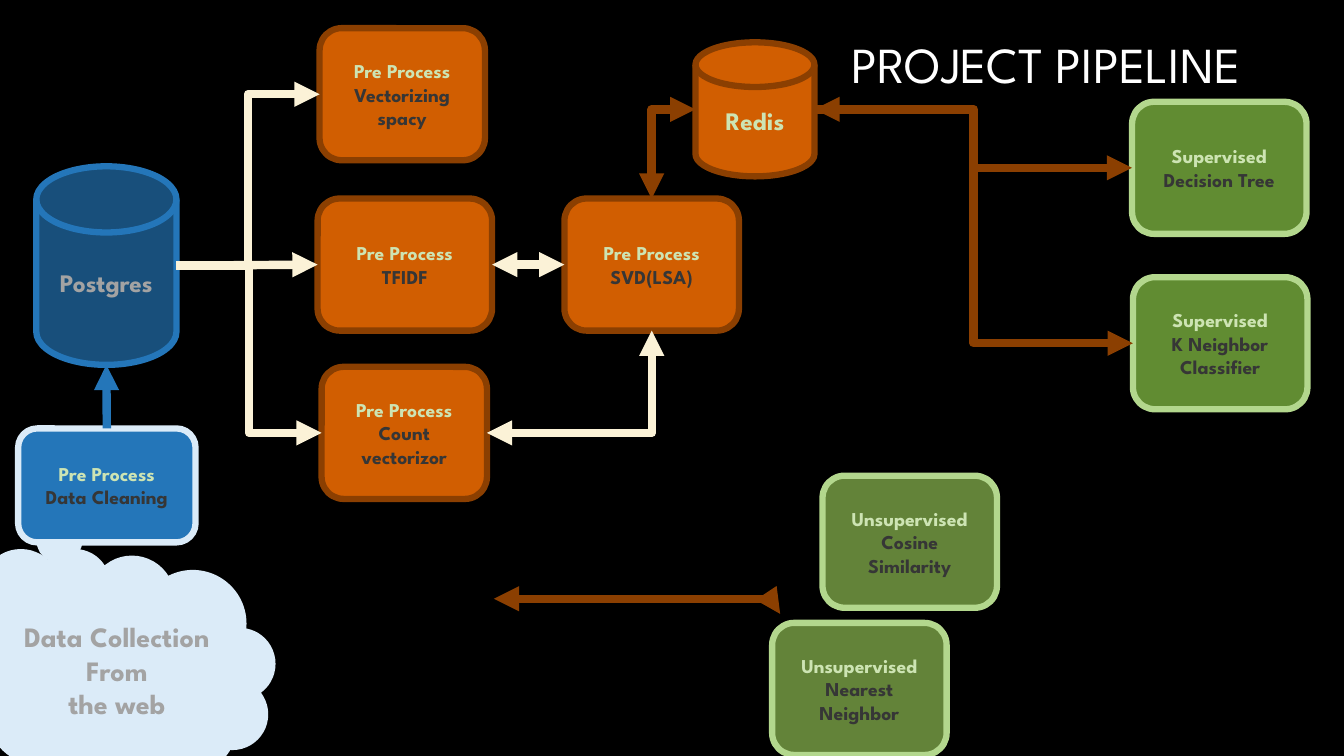
from pptx import Presentation
from pptx.dml.color import RGBColor
from pptx.enum.shapes import MSO_CONNECTOR, MSO_SHAPE
from pptx.enum.text import MSO_ANCHOR, PP_ALIGN
from pptx.oxml.ns import qn
from pptx.util import Inches, Pt
from lxml.etree import SubElement

WIDTH, HEIGHT = Inches(13.33), Inches(7.5)
FONT = "League Spartan"

BLACK = RGBColor(0x00, 0x00, 0x00)
WHITE = RGBColor(0xFF, 0xFF, 0xFF)
GREY = RGBColor(0xA3, 0xA3, 0xA3)
CHARCOAL = RGBColor(0x36, 0x36, 0x36)
CREAM = RGBColor(0xFB, 0xF2, 0xD7)
ICE = RGBColor(0xDB, 0xEB, 0xF8)
BLUE = RGBColor(0x24, 0x76, 0xB9)
NAVY = RGBColor(0x18, 0x4F, 0x7B)
ORANGE = RGBColor(0xD1, 0x5E, 0x01)
BROWN = RGBColor(0x8B, 0x3F, 0x01)
GREEN = RGBColor(0x61, 0x8C, 0x32)
OLIVE = RGBColor(0x63, 0x83, 0x39)
LIME = RGBColor(0xB3, 0xD7, 0x8D)
PALE_GREEN = RGBColor(0xCD, 0xE4, 0xB3)

# Step sizes, in percent of the slide's width and height
WIDE, NARROW = (12.98, 17.47), (12.3, 17.47)
TOP, LEFT, BOTTOM, RIGHT = range(4)


def share(x, y):
    """Turn percentages of the slide's width and height into lengths."""
    return round(WIDTH * x / 100), round(HEIGHT * y / 100)


def write(tf, lines, size, colors, align=PP_ALIGN.CENTER, bold=True):
    """Write one paragraph per line, each in its own colour."""
    tf.vertical_anchor = MSO_ANCHOR.MIDDLE
    for i, (line, color) in enumerate(zip(lines, colors)):
        p = tf.paragraphs[0] if i == 0 else tf.add_paragraph()
        p.text = line
        p.alignment = align
        p.font.name, p.font.size, p.font.bold = FONT, Pt(size), bold
        p.font.color.rgb = color


def add_figure(slide, kind, at, size, fill, line):
    sp = slide.shapes.add_shape(kind, *share(*at), *share(*size))
    sp.shadow.inherit = False
    sp.fill.solid()
    sp.fill.fore_color.rgb = fill
    sp.line.color.rgb = line
    sp.line.width = Pt(4.5)
    return sp


def add_step(slide, at, size, fill, line, stage, *details):
    sp = add_figure(slide, MSO_SHAPE.ROUNDED_RECTANGLE, at, size, fill, line)
    sp.text_frame.word_wrap = True
    write(sp.text_frame, [stage, *details], 14,
          [PALE_GREEN] + [CHARCOAL] * len(details))
    return sp


def add_store(slide, at, size, fill, line, name, color):
    sp = add_figure(slide, MSO_SHAPE.FLOWCHART_MAGNETIC_DISK, at, size, fill, line)
    write(sp.text_frame, [name], 18, [color])
    return sp


def side(sp, which):
    """Return the middle of one side of a shape."""
    x = {LEFT: sp.left, RIGHT: sp.left + sp.width}.get(which, sp.left + sp.width // 2)
    y = {TOP: sp.top, BOTTOM: sp.top + sp.height}.get(which, sp.top + sp.height // 2)
    return x, y


def add_arrow(slide, start, end, color, kind=MSO_CONNECTOR.ELBOW,
              both=False, corner=False):
    """Draw an arrow; corner gives a single bend, horizontal part first."""
    c = slide.shapes.add_connector(kind, *start, *end)
    c.line.color.rgb = color
    c.line.width = Pt(6)
    sp_pr = c._element.spPr
    if corner:
        sp_pr.find(qn("a:prstGeom")).set("prst", "bentConnector2")
    ln = sp_pr.find(qn("a:ln"))
    for tag in ["a:headEnd", "a:tailEnd"] if both else ["a:tailEnd"]:
        SubElement(ln, qn(tag)).set("type", "triangle")
    SubElement(sp_pr, qn("a:effectLst"))
    return c


def add_title(slide):
    title = slide.shapes.title
    title.left, title.top = share(62.63, 1.2)
    title.width, title.height = share(36.83, 15.33)
    write(title.text_frame, ["PROJECT PIPELINE"], 36, [WHITE], PP_ALIGN.LEFT, False)
    title.text_frame.paragraphs[0].line_spacing = 0.9


def add_collection(slide):
    cloud = add_figure(slide, MSO_SHAPE.CLOUD_CALLOUT, (-3.83, 72.93),
                       (24.08, 31.47), ICE, ICE)
    cloud.adjustments[0], cloud.adjustments[1] = 0.21, -0.73
    cloud._element.spPr.find(qn("a:xfrm")).set("flipH", "1")
    box = slide.shapes.add_textbox(*share(0, 81.2), *share(17.4, 14.8))
    box.text_frame.word_wrap = False
    write(box.text_frame, ["Data Collection", "From", "the web"], 20, [GREY] * 3)


def main():
    prs = Presentation()
    prs.slide_width, prs.slide_height = WIDTH, HEIGHT
    s = prs.slides.add_slide(prs.slide_layouts[5])
    s.background.fill.solid()
    s.background.fill.fore_color.rgb = BLACK

    add_title(s)
    add_collection(s)

    cleaning = add_step(s, (1.35, 56.67), (13.2, 15.07), BLUE, ICE,
                        "Pre Process", "Data Cleaning")
    postgres = add_store(s, (2.7, 22), (10.43, 26.27), NAVY, BLUE, "Postgres", GREY)
    redis = add_store(s, (51.75, 5.6), (8.85, 17.73), ORANGE, BROWN,
                      "Redis", PALE_GREEN)
    spacy, tfidf, count, svd = [
        add_step(s, at, size, ORANGE, BROWN, "Pre Process", *details)
        for at, size, details in [
            ((23.78, 3.73), NARROW, ["Vectorizing", "spacy"]),
            ((23.63, 26.27), WIDE, ["TFIDF"]),
            ((23.93, 48.53), NARROW, ["Count vectorizor"]),
            ((42, 26.27), WIDE, ["SVD(LSA)"]),
        ]]
    tree, neighbor = [
        add_step(s, at, WIDE, GREEN, LIME, "Supervised", detail)
        for at, detail in [((84.23, 13.47), "Decision Tree"),
                           ((84.3, 36.67), "K Neighbor Classifier")]]
    for at, detail in [((57.45, 82.4), "Nearest Neighbor"),
                       ((61.2, 62.93), "Cosine Similarity")]:
        add_step(s, at, WIDE, OLIVE, LIME, "Unsupervised", detail)

    straight = MSO_CONNECTOR.STRAIGHT
    load = add_arrow(s, side(cleaning, TOP), side(postgres, BOTTOM), BLUE, straight)
    load.begin_connect(cleaning, TOP)
    read = add_arrow(s, side(postgres, RIGHT), side(tfidf, LEFT), CREAM, straight)
    read.end_connect(tfidf, LEFT)
    reduce = add_arrow(s, side(svd, LEFT), side(tfidf, RIGHT), CREAM, straight, both=True)
    reduce.begin_connect(svd, LEFT)
    reduce.end_connect(tfidf, RIGHT)

    for step in (spacy, count):
        add_arrow(s, side(postgres, RIGHT), side(step, LEFT), CREAM)
    add_arrow(s, side(redis, RIGHT), side(tree, LEFT), BROWN, both=True)
    add_arrow(s, side(redis, RIGHT), side(neighbor, LEFT), BROWN)

    for start, end, color in [
        (side(count, RIGHT), side(svd, BOTTOM), CREAM),
        (side(redis, LEFT), side(svd, TOP), BROWN),
        (share(36.75, 79.2), share(58.05, 81.2), BROWN),
    ]:
        add_arrow(s, start, end, color, both=True, corner=True)

    prs.save("out.pptx")


if __name__ == "__main__":
    main()
